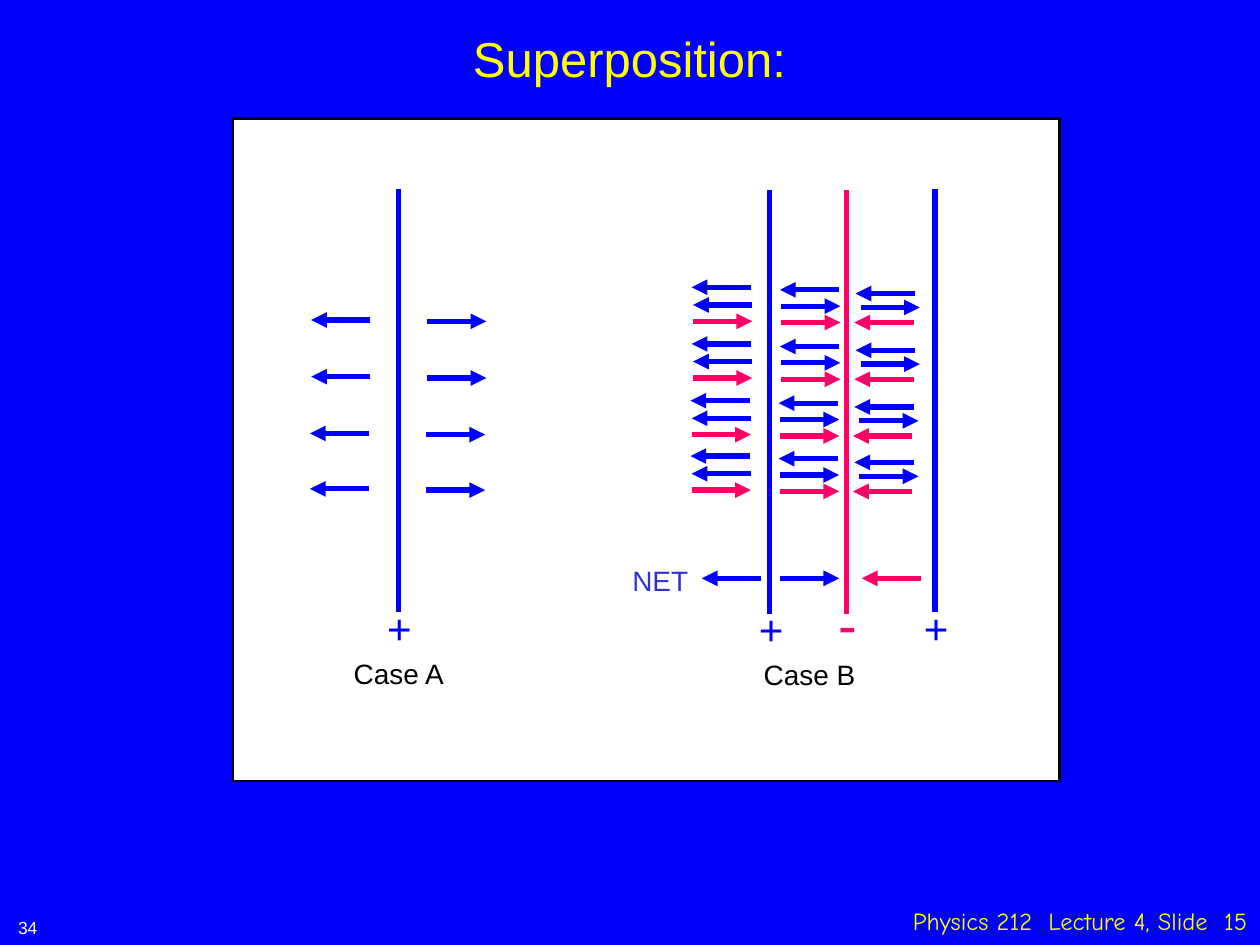
"""Build the superposition slide comparing the fields of charged sheets."""
from dataclasses import dataclass

from lxml.etree import SubElement
from pptx import Presentation
from pptx.dml.color import RGBColor
from pptx.enum.shapes import MSO_CONNECTOR, MSO_SHAPE
from pptx.enum.text import MSO_AUTO_SIZE, PP_ALIGN
from pptx.oxml.ns import qn
from pptx.slide import Slide
from pptx.util import Inches, Pt

COLORS = {
    "blue": "0000FF",
    "pink": "FF0066",
    "yellow": "FFFF00",
    "white": "FFFFFF",
    "black": "000000",
    "indigo": "3333CC",
}
ARROW_LENGTH = 0.47
SHEET_HEIGHT = 3.36
ROW_OFFSETS = [(0, 0), (0, 0.45), (-0.01, 0.9), (-0.01, 1.34)]


@dataclass
class Sheet:
    x: float
    top: float
    color: str


@dataclass
class Arrow:
    left: float
    y: float
    points_right: bool
    color: str = "blue"


SHEETS = [
    Sheet(3.16, 1.5, "blue"),
    Sheet(6.11, 1.51, "blue"),
    Sheet(6.72, 1.51, "pink"),
    Sheet(7.42, 1.5, "blue"),
]
FIELD_ARROWS = [
    Arrow(2.47, 2.54, False),
    Arrow(3.39, 2.55, True),
    Arrow(5.49, 2.28, False),
    Arrow(5.5, 2.42, False),
    Arrow(5.5, 2.55, True, "pink"),
    Arrow(6.19, 2.3, False),
    Arrow(6.2, 2.43, True),
    Arrow(6.2, 2.56, True, "pink"),
    Arrow(6.79, 2.33, False),
    Arrow(6.83, 2.44, True),
    Arrow(6.78, 2.56, False, "pink"),
]
NET_ARROWS = [
    Arrow(5.57, 4.59, False),
    Arrow(6.19, 4.59, True),
    Arrow(6.84, 4.59, False, "pink"),
]


def rgb(name: str) -> RGBColor:
    """Return the named colour."""
    return RGBColor.from_string(COLORS[name])


def add_text(slide: Slide, text: str, left: float, top: float, width: float,
             height: float, *, size: float, color: str, font: str = "Arial",
             align: PP_ALIGN = PP_ALIGN.CENTER, wrap: bool = False,
             grow: bool = True) -> None:
    """Add a one-paragraph text box."""
    box = slide.shapes.add_textbox(
        Inches(left), Inches(top), Inches(width), Inches(height))
    frame = box.text_frame
    frame.word_wrap = wrap
    frame.auto_size = (
        MSO_AUTO_SIZE.SHAPE_TO_FIT_TEXT if grow else MSO_AUTO_SIZE.NONE)
    paragraph = frame.paragraphs[0]
    paragraph.alignment = align
    run = paragraph.add_run()
    run.text = text
    run.font.name = font
    run.font.size = Pt(size)
    run.font.color.rgb = rgb(color)


def add_line(slide: Slide, start: tuple[float, float], end: tuple[float, float],
             color: str, arrowhead: bool = False) -> None:
    """Add a straight line, with an arrowhead at its end if asked."""
    connector = slide.shapes.add_connector(
        MSO_CONNECTOR.STRAIGHT, Inches(start[0]), Inches(start[1]),
        Inches(end[0]), Inches(end[1]))
    connector.line.color.rgb = rgb(color)
    connector.line.width = Pt(3)
    if arrowhead:
        SubElement(connector.line._get_or_add_ln(), qn("a:tailEnd"), type="triangle")
    SubElement(connector._element.spPr, qn("a:effectLst"))


def add_arrow(slide: Slide, arrow: Arrow, shift_x: float = 0,
              shift_y: float = 0) -> None:
    """Add a horizontal field arrow."""
    left, y = arrow.left + shift_x, arrow.y + shift_y
    ends = [(left, y), (left + ARROW_LENGTH, y)]
    start, end = ends if arrow.points_right else reversed(ends)
    add_line(slide, start, end, arrow.color, arrowhead=True)


def add_panel(slide: Slide) -> None:
    """Add the white panel behind the diagram."""
    panel = slide.shapes.add_shape(
        MSO_SHAPE.RECTANGLE, Inches(1.85), Inches(0.94), Inches(6.56), Inches(5.26))
    panel.shadow.inherit = False
    panel.fill.solid()
    panel.fill.fore_color.rgb = rgb("white")
    panel.line.color.rgb = rgb("black")
    panel.line.width = Pt(1.5)


def main() -> None:
    """Build and save the presentation."""
    presentation = Presentation()
    presentation.slide_width = Inches(10)
    presentation.slide_height = Inches(7.5)
    slide = presentation.slides.add_slide(presentation.slide_layouts[6])
    slide.background.fill.solid()
    slide.background.fill.fore_color.rgb = rgb("blue")

    add_panel(slide)
    add_text(slide, "Superposition:", 3.65, 0.18, 2.69, 0.57, size=28, color="yellow")
    for sheet in SHEETS:
        add_line(slide, (sheet.x, sheet.top),
                 (sheet.x, sheet.top + SHEET_HEIGHT), sheet.color)
        if sheet.color == "blue":
            add_text(slide, "+", sheet.x - 0.19, sheet.top + 3.23, 0.4, 0.5,
                     size=24, color="blue")
        else:
            add_text(slide, "-", sheet.x - 0.17, sheet.top + 3.12, 0.35, 0.63,
                     size=32, color="pink")

    for arrow in FIELD_ARROWS:
        for shift_x, shift_y in ROW_OFFSETS:
            add_arrow(slide, arrow, shift_x, shift_y)
    for arrow in NET_ARROWS:
        add_arrow(slide, arrow)

    add_text(slide, "NET", 4.92, 4.42, 0.64, 0.37, size=16, color="indigo")
    add_text(slide, "Case A", 2.7, 5.16, 0.93, 0.37, size=16, color="black")
    add_text(slide, "Case B", 5.96, 5.17, 0.93, 0.37, size=16, color="black")
    add_text(slide, "34", 0, 7.23, 0.44, 0.27, size=10, color="white", wrap=True)
    add_text(slide, "Physics 212  Lecture 4, Slide  15", 6.57, 7.14, 3.43, 0.32,
             size=14, color="yellow", font="Comic Neue", align=PP_ALIGN.RIGHT,
             wrap=True, grow=False)
    presentation.save("out.pptx")


if __name__ == "__main__":
    main()
